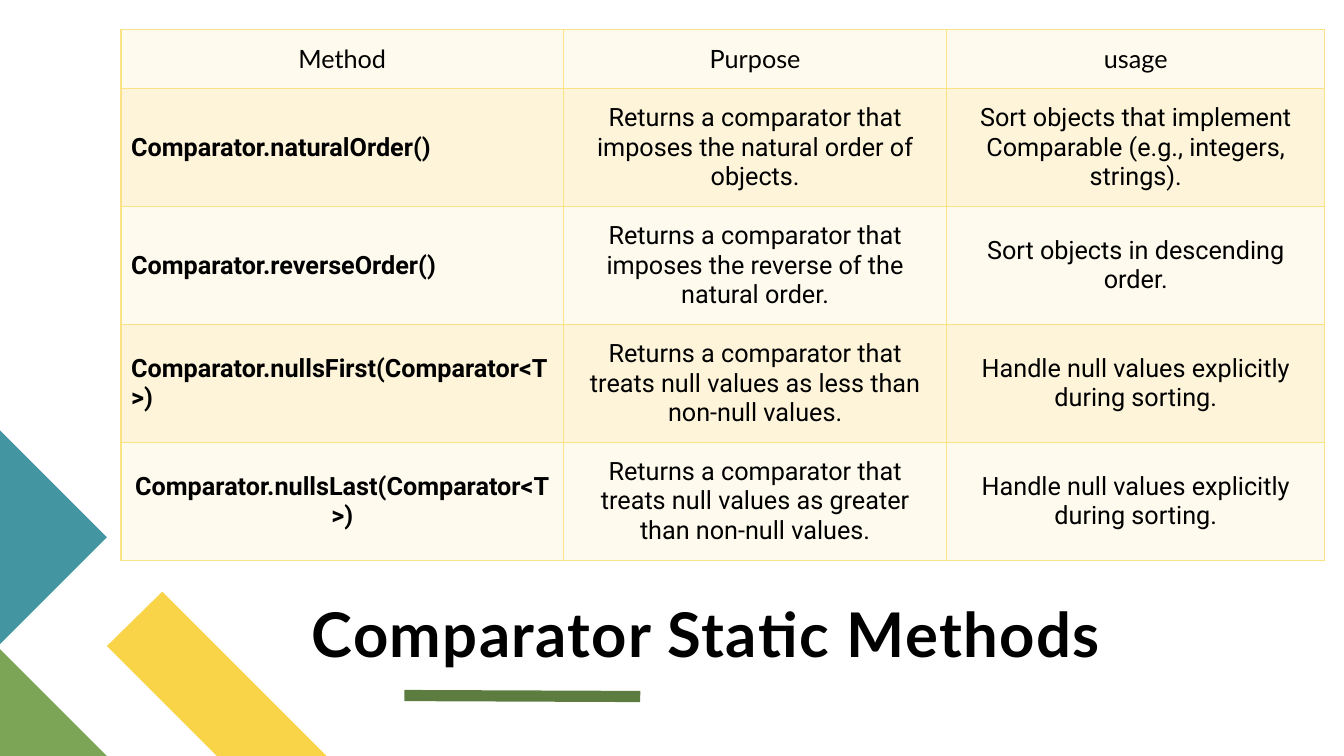
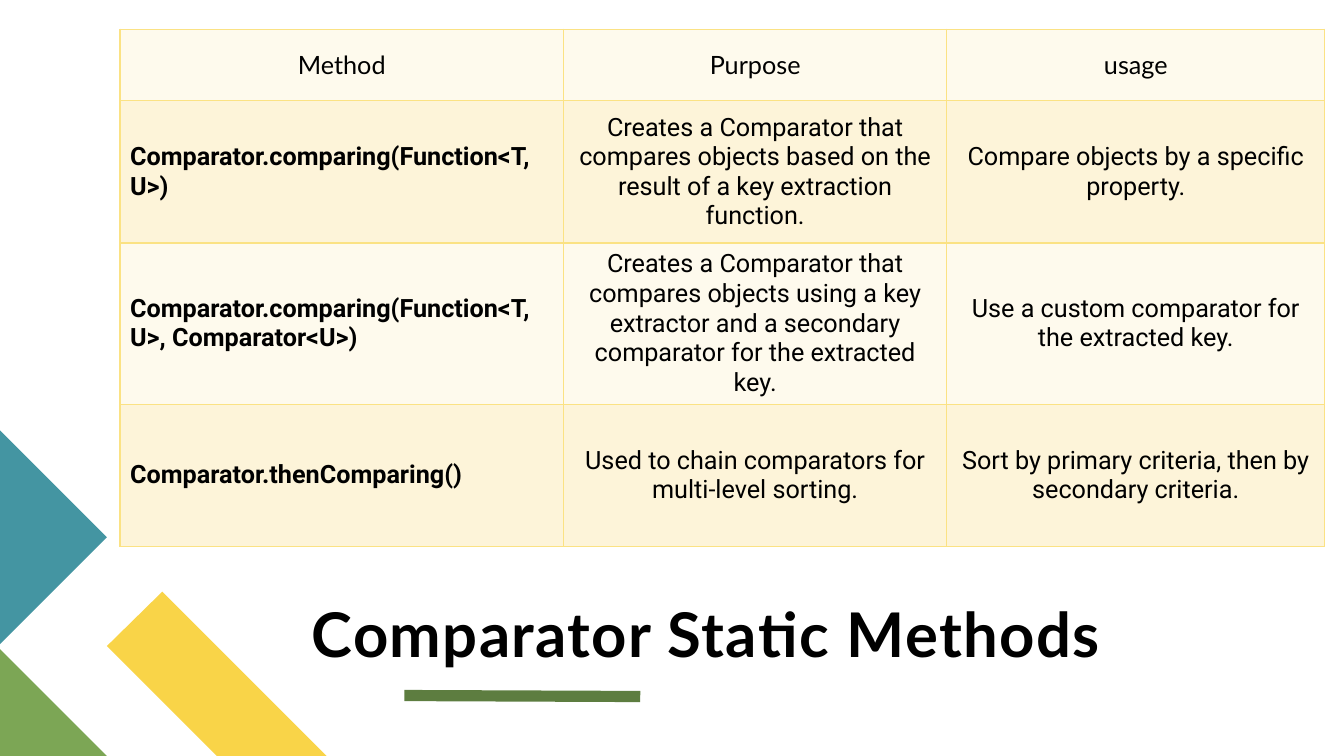
from dataclasses import dataclass

from lxml import etree
from pptx import Presentation
from pptx.dml.color import RGBColor
from pptx.enum.shapes import MSO_CONNECTOR
from pptx.enum.text import MSO_ANCHOR, PP_ALIGN
from pptx.oxml.ns import qn
from pptx.util import Inches, Pt

STRAIGHT = MSO_CONNECTOR.STRAIGHT
MIDDLE, BOTTOM = MSO_ANCHOR.MIDDLE, MSO_ANCHOR.BOTTOM
LEFT, CENTER = PP_ALIGN.LEFT, PP_ALIGN.CENTER

COLORS = {
    "text": "000000",
    "yellow": "F9D448",
    "green": "7CA655",
    "teal": "4495A2",
    "underline": "5D7D40",
    "border": "FBE284",
    "light_row": "FEFAED",
    "dark_row": "FDF4D9",
}
HEADING_FONT, BODY_FONT = "Lato", "Roboto"
TITLE = "Comparator Static Methods"
HEADER = ("Method", "Purpose", "usage")
TABLE_TOP = 0.29


@dataclass(frozen=True)
class Ornament:
    color: str
    points: tuple[tuple[float, float], ...]


@dataclass(frozen=True)
class Method:
    name: str
    purpose: str
    usage: str
    name_align: PP_ALIGN = LEFT


@dataclass(frozen=True)
class MethodTable:
    left: float
    widths: tuple[float, ...]
    header_height: float
    row_height: float
    methods: tuple[Method, ...]


ORNAMENTS = (
    Ornament("yellow", ((3.24, 7.5), (2.15, 7.5), (1.06, 6.41), (1.61, 5.87))),
    Ornament("green", ((1.06, 7.5), (0, 7.5), (0, 6.44))),
    Ornament("teal", ((0, 4.27), (1.06, 5.33), (0, 6.39))),
)

TABLES = (
    MethodTable(1.2, (4.39, 3.8, 3.75), 0.59, 1.17, (
        Method("Comparator.naturalOrder()",
               "Returns a comparator that imposes the natural order of objects.",
               "Sort objects that implement Comparable (e.g., integers, strings)."),
        Method("Comparator.reverseOrder()",
               "Returns a comparator that imposes the reverse of the natural order.",
               "Sort objects in descending order."),
        Method("Comparator.nullsFirst(Comparator<T>)",
               "Returns a comparator that treats null values as less than non-null values.",
               "Handle null values explicitly during sorting."),
        Method("Comparator.nullsLast(Comparator<T>)",
               "Returns a comparator that treats null values as greater than non-null values.",
               "Handle null values explicitly during sorting.", CENTER),
    )),
    MethodTable(1.19, (4.4, 3.8, 3.75), 0.71, 1.41, (
        Method("Comparator.comparing(Function<T, U>)",
               "Creates a Comparator that compares objects based on the result of a key "
               "extraction function.",
               "Compare objects by a specific property."),
        Method("Comparator.comparing(Function<T, U>, Comparator<U>)",
               "Creates a Comparator that compares objects using a key extractor and a "
               "secondary comparator for the extracted key.",
               "Use a custom comparator for the extracted key."),
        Method("Comparator.thenComparing()",
               "Used to chain comparators for multi-level sorting.",
               "Sort by primary criteria, then by secondary criteria."),
    )),
)


def rgb(name: str) -> RGBColor:
    return RGBColor.from_string(COLORS[name])


def add_run(paragraph, text: str, font: str, size: float, bold: bool):
    run = paragraph.add_run()
    run.text = text
    run.font.name, run.font.size, run.font.bold = font, Pt(size), bold
    run.font.color.rgb = rgb("text")
    return run


def add_ornament(slide, ornament: Ornament) -> None:
    start, *rest = [(Inches(x), Inches(y)) for x, y in ornament.points]
    builder = slide.shapes.build_freeform(*start)
    builder.add_line_segments(rest, close=True)
    shape = builder.convert_to_shape()
    shape.shadow.inherit = False
    shape.fill.solid()
    shape.fill.fore_color.rgb = rgb(ornament.color)
    shape.line.fill.background()


def add_title(slide) -> None:
    # Underline
    underline = slide.shapes.add_connector(
        STRAIGHT, Inches(4.01), Inches(6.9), Inches(6.35), Inches(6.91))
    underline.line.color.rgb = rgb("underline")
    underline.line.width = Pt(8)
    etree.SubElement(underline._element.spPr, qn("a:effectLst"))

    # Heading
    heading = slide.shapes.add_textbox(
        Inches(3.09), Inches(5.13), Inches(8.68), Inches(1.51)).text_frame
    heading.word_wrap = True
    heading.vertical_anchor = BOTTOM
    heading.margin_left = heading.margin_right = 0
    heading.margin_top = heading.margin_bottom = 0
    paragraph = heading.paragraphs[0]
    paragraph.line_spacing = 0.8
    run = add_run(paragraph, TITLE, HEADING_FONT, 44, True)
    run._r.get_or_add_rPr().set("spc", "100")


def add_borders(cell) -> None:
    properties = cell._tc.get_or_add_tcPr()
    for side in ("a:lnL", "a:lnR", "a:lnT", "a:lnB"):
        line = etree.SubElement(properties, qn(side), w=str(Pt(1)))
        fill = etree.SubElement(line, qn("a:solidFill"))
        etree.SubElement(fill, qn("a:srgbClr"), val=COLORS["border"])


def fill_cell(cell, text: str, font: str, bold: bool, align: PP_ALIGN, color: str) -> None:
    add_borders(cell)
    cell.fill.solid()
    cell.fill.fore_color.rgb = rgb(color)
    cell.vertical_anchor = MIDDLE
    paragraph = cell.text_frame.paragraphs[0]
    paragraph.alignment = align
    add_run(paragraph, text, font, 18, bold)


def add_method_table(slide, content: MethodTable) -> None:
    heights = [content.header_height] + [content.row_height] * len(content.methods)
    table = slide.shapes.add_table(
        len(heights), len(HEADER), Inches(content.left), Inches(TABLE_TOP),
        Inches(sum(content.widths)), Inches(sum(heights))).table
    for column, width in zip(table.columns, content.widths):
        column.width = Inches(width)
    for row, height in zip(table.rows, heights):
        row.height = Inches(height)

    # Header row
    for column, label in enumerate(HEADER):
        fill_cell(table.cell(0, column), label, HEADING_FONT, False, CENTER, "light_row")

    # Method rows in alternating tints
    for row, method in enumerate(content.methods, start=1):
        color = "dark_row" if row % 2 else "light_row"
        fill_cell(table.cell(row, 0), method.name, BODY_FONT, True, method.name_align, color)
        for column, text in enumerate((method.purpose, method.usage), start=1):
            fill_cell(table.cell(row, column), text, BODY_FONT, False, CENTER, color)


def main() -> None:
    deck = Presentation()
    deck.slide_width, deck.slide_height = Inches(13.33), Inches(7.5)
    blank = deck.slide_layouts[6]
    for content in TABLES:
        slide = deck.slides.add_slide(blank)
        for ornament in ORNAMENTS:
            add_ornament(slide, ornament)
        add_title(slide)
        add_method_table(slide, content)
    deck.save("out.pptx")


if __name__ == "__main__":
    main()
